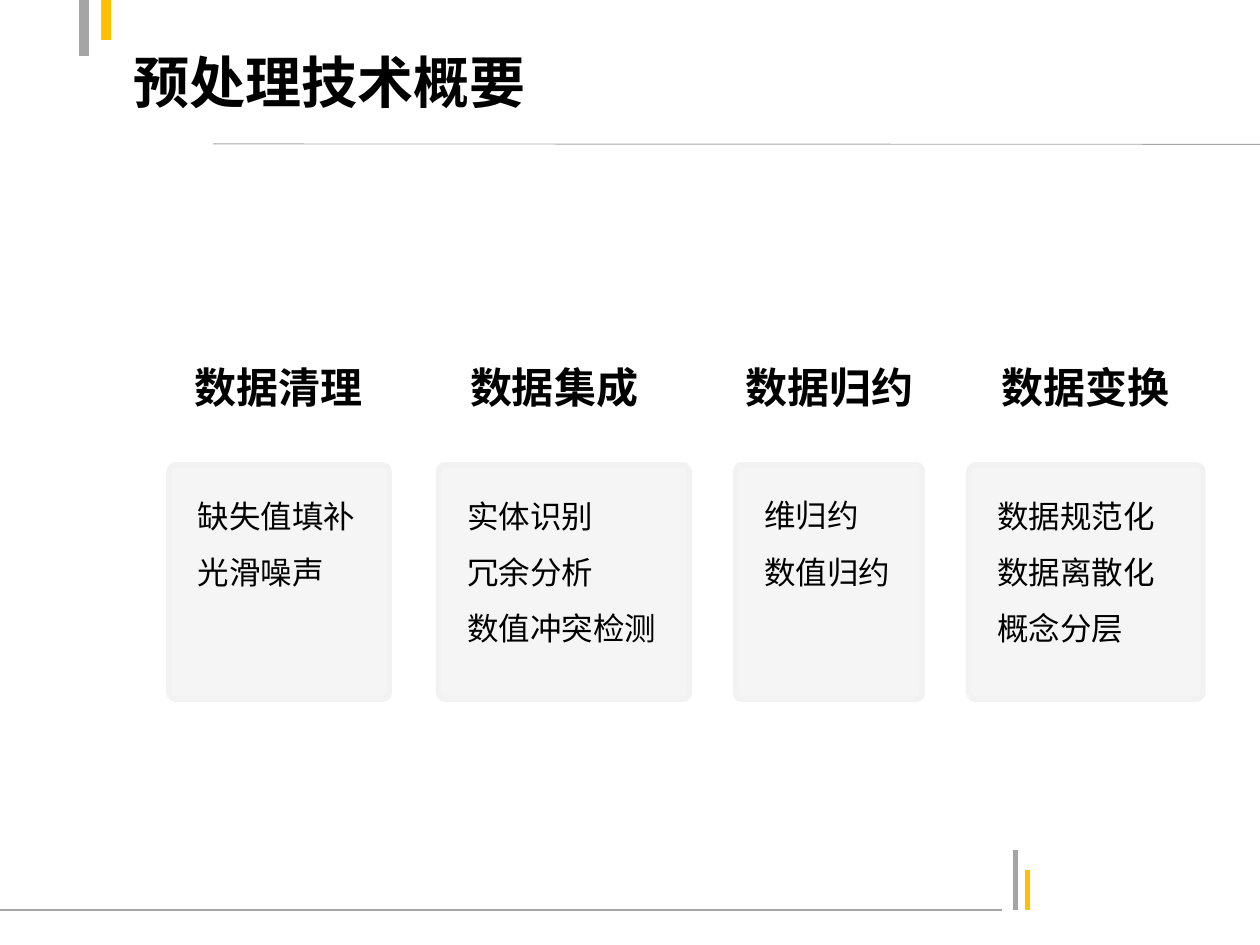
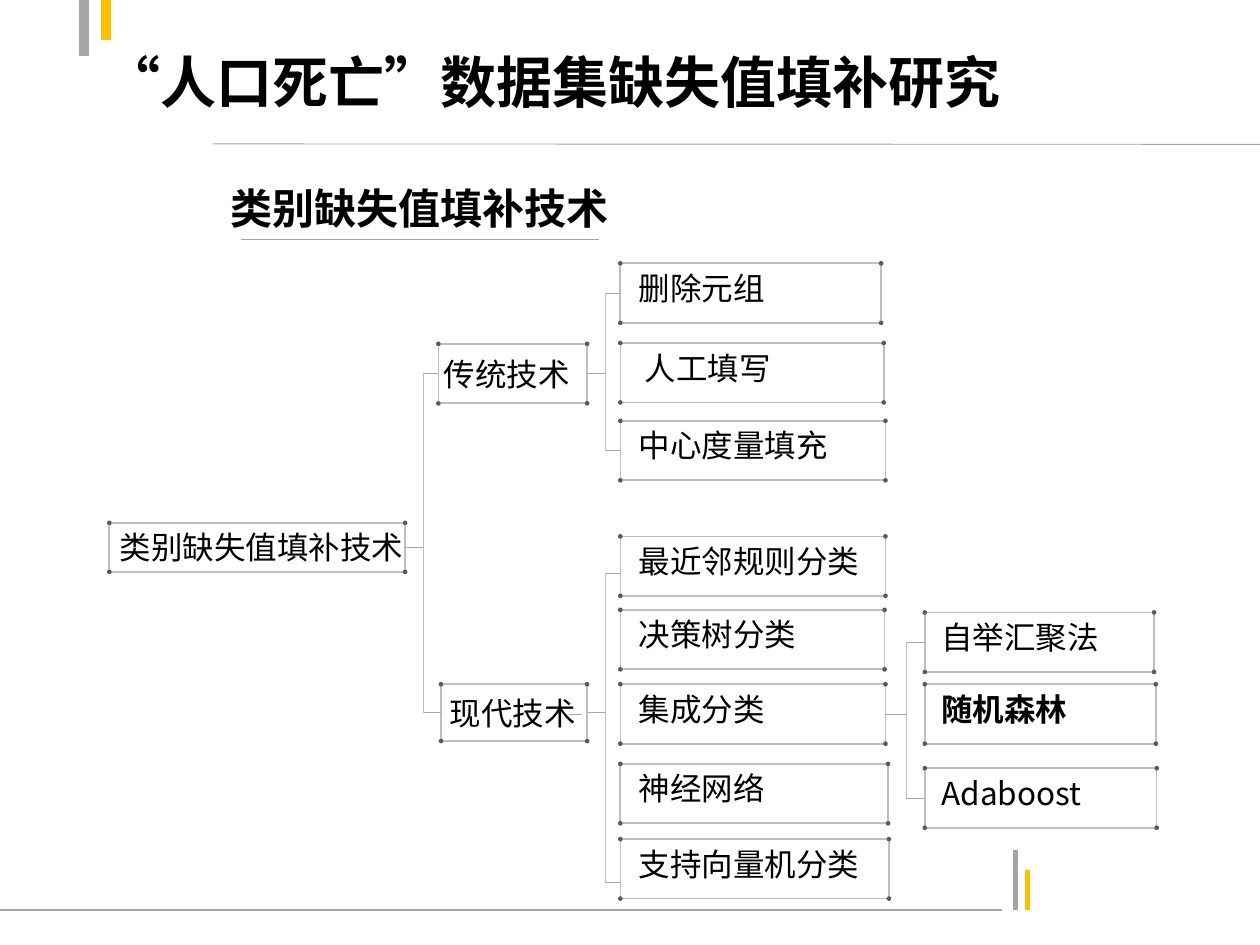
"""Build two slides on data preprocessing and missing-value imputation."""
from pptx import Presentation
from pptx.dml.color import RGBColor
from pptx.enum.shapes import MSO_CONNECTOR, MSO_SHAPE
from pptx.enum.text import MSO_ANCHOR, MSO_AUTO_SIZE, PP_ALIGN
from pptx.oxml.ns import qn
from pptx.util import Pt
from lxml.etree import SubElement

BLACK = RGBColor(0x00, 0x00, 0x00)
GREY = RGBColor(0xA5, 0xA5, 0xA5)
GOLD = RGBColor(0xFF, 0xC0, 0x00)
STUB = RGBColor(0xA6, 0xA6, 0xA6)
TRUNK = RGBColor(0xBF, 0xBF, 0xBF)
DOT = RGBColor(0x59, 0x59, 0x59)
CARD_FILL = RGBColor(0xF6, 0xF5, 0xF5)
CARD_EDGE = RGBColor(0xF2, 0xF2, 0xF2)

CJK = "Noto Sans CJK SC"
TITLE = {"name": CJK, "size": Pt(32), "bold": True}
HEADING = {"name": CJK, "size": Pt(24), "bold": True}
BODY = {"name": CJK, "size": Pt(18), "bold": False}
STRONG = {**BODY, "bold": True}
ROOT = {**BODY, "name": "Roboto"}

FRAME_LINES = [
    (-3, 520, 572.5, 520, GREY, 0.75),
    (580.5, 520, 580.5, 485.5, GREY, 3),
    (587, 520, 587, 497, GOLD, 3),
    (48, 32, 48, -2, GREY, 6),
    (60.5, 0, 60.5, 23, GOLD, 6),
    (121.75, 82.25, 720.5, 82.5, GREY, 0.5),
]

OVERVIEW_TITLE = "预处理技术概要"
CARD_TOP, CARD_HEIGHT = 265.6, 134
HEADING_TOP, HEADING_WIDTH, HEADING_HEIGHT = 199.5, 134, 42.5
TECHNIQUES = [
    ("数据清理", 92.2, 96.5, 126, ["缺失值填补", "光滑噪声"]),
    ("数据集成", 249.6, 250.5, 143.5, ["实体识别", "冗余分析", "数值冲突检测"]),
    ("数据归约", 406.8, 420.5, 106.5, ["维归约", "数值归约"]),
    ("数据变换", 553.5, 553.5, 134, ["数据规范化", "数据离散化", "概念分层"]),
]

STUDY_TITLE = "“人口死亡”数据集缺失值填补研究"
STUDY_HEADING = "类别缺失值填补技术"
STEMS = [
    ("类别缺失值填补技术", 62.5, 298.8, 169, 28, 6, ROOT),
    ("传统技术", 250.5, 196.5, 85, 34, 3, BODY),
    ("现代技术", 252, 391, 83.5, 32.5, 5, BODY),
]
METHOD_LEFT, ENSEMBLE_LEFT, LEAF_HEIGHT = 354.5, 528.5, 34
LEAVES = [
    ("删除元组", METHOD_LEFT, 150.5, 149, 10.5, BODY),
    ("人工填写", METHOD_LEFT, 196, 150.5, 14, BODY),
    ("中心度量填充", METHOD_LEFT, 240.5, 151.5, 10.5, BODY),
    ("最近邻规则分类", METHOD_LEFT, 306.5, 151.5, 10.5, BODY),
    ("决策树分类", METHOD_LEFT, 348.5, 151, 10.5, BODY),
    ("集成分类", METHOD_LEFT, 391, 151.5, 10.5, BODY),
    ("神经网络", METHOD_LEFT, 436.5, 153, 10.5, BODY),
    ("支持向量机分类", METHOD_LEFT, 479.5, 153.5, 10.5, BODY),
    ("自举汇聚法", ENSEMBLE_LEFT, 350, 131, 9.5, BODY),
    ("随机森林", ENSEMBLE_LEFT, 391, 132, 9.5, STRONG),
    ("Adaboost", ENSEMBLE_LEFT, 439, 132.5, 9.5, BODY),
]
BRANCHES = [
    ("类别缺失值填补技术", 242, [("传统技术", 0), ("现代技术", 0)]),
    ("传统技术", 346, [("删除元组", 0), ("中心度量填充", 0)]),
    ("现代技术", 346, [("最近邻规则分类", 4), ("支持向量机分类", 7.5)]),
    ("集成分类", 517.7, [("自举汇聚法", 0), ("Adaboost", 0)]),
]


def write(tf, lines, fmt, align=PP_ALIGN.LEFT, spacing=None,
          anchor=MSO_ANCHOR.MIDDLE, margins=(7.2, 3.6, 7.2, 3.6)):
    frame = {"word_wrap": True, "auto_size": MSO_AUTO_SIZE.NONE,
             "vertical_anchor": anchor}
    sides = ("left", "top", "right", "bottom")
    frame.update({f"margin_{k}": Pt(v) for k, v in zip(sides, margins)})
    for key, value in frame.items():
        setattr(tf, key, value)
    for i, line in enumerate(lines):
        p = tf.add_paragraph() if i else tf.paragraphs[0]
        p.alignment = align
        if spacing:
            p.line_spacing = Pt(spacing)
        r = p.add_run()
        r.text = line
        for key, value in fmt.items():
            setattr(r.font, key, value)
        r.font.color.rgb = BLACK
        SubElement(r._r.get_or_add_rPr(), qn("a:ea")).set("typeface", CJK)


def add_line(s, x1, y1, x2, y2, color, width):
    line = s.shapes.add_connector(
        MSO_CONNECTOR.STRAIGHT, *map(Pt, (x1, y1, x2, y2)))
    line.line.color.rgb = color
    line.line.width = Pt(width)
    SubElement(line._element.spPr, qn("a:effectLst"))
    return line


def add_box(s, kind, x, y, w, h, fill=None, edge=None, width=1):
    sp = s.shapes.add_shape(kind, *map(Pt, (x, y, w, h)))
    sp.shadow.inherit = False
    for part, color in ((sp.fill, fill), (sp.line.fill, edge)):
        if color is None:
            part.background()
        else:
            part.solid()
            part.fore_color.rgb = color
    if edge is not None:
        sp.line.width = Pt(width)
    return sp


def add_heading(s, text, x, y, w, h):
    sp = s.shapes.add_textbox(*map(Pt, (x, y, w, h)))
    write(sp.text_frame, [text], HEADING, PP_ALIGN.CENTER)


def add_slide(prs, title, left):
    s = prs.slides.add_slide(prs.slide_layouts[5])
    for line in FRAME_LINES:
        add_line(s, *line)
    sp = s.shapes.title
    place = {"left": left, "top": 1.2, "width": 648, "height": 90}
    for key, value in place.items():
        setattr(sp, key, Pt(value))
    write(sp.text_frame, [title], TITLE)
    return s


def add_node(s, text, x, y, w, h, indent, fmt, lift=0):
    sp = add_box(s, MSO_SHAPE.RECTANGLE, x, y, w, h, edge=TRUNK)
    write(sp.text_frame, [text], fmt, margins=(indent, 0, 0, lift))
    d = 2.6
    for cx in (x, x + w):
        for cy in (y, y + h):
            add_box(s, MSO_SHAPE.OVAL, cx - d / 2, cy - d / 2, d, d, DOT)
    return sp


def add_branch(s, nodes, parent, trunk, children):
    sp = nodes[parent]
    mid = (sp.top + sp.height / 2) / Pt(1)
    stub = add_line(s, trunk, mid, trunk, mid, STUB, 0.5)
    stub.begin_connect(sp, 3)
    ends = []
    for child, drop in children:
        sp = nodes[child]
        y = (sp.top + sp.height / 2) / Pt(1) + drop
        stub = add_line(s, trunk, y, sp.left / Pt(1), y, STUB, 0.5)
        if not drop:
            stub.end_connect(sp, 1)
        ends.append(y)
    add_line(s, trunk, ends[0], trunk, ends[-1], TRUNK, 0.5)


def build_overview(prs):
    s = add_slide(prs, OVERVIEW_TITLE, 69)
    for name, heading_x, x, w, items in TECHNIQUES:
        add_heading(s, name, heading_x, HEADING_TOP, HEADING_WIDTH, HEADING_HEIGHT)
        card = add_box(s, MSO_SHAPE.ROUNDED_RECTANGLE, x, CARD_TOP, w,
                       CARD_HEIGHT, CARD_FILL, CARD_EDGE, 3)
        card.adjustments[0] = 0.03
        write(card.text_frame, items, BODY, spacing=32.2,
              anchor=MSO_ANCHOR.TOP, margins=(15.3, 6.5, 0, 0))


def build_study(prs):
    s = add_slide(prs, STUDY_TITLE, 52.5)
    add_heading(s, STUDY_HEADING, 105, 96.4, 269.3, 44.6)
    add_line(s, 137.5, 136.8, 342.5, 136.8, GREY, 0.5)
    nodes = {node[0]: add_node(s, *node) for node in STEMS}
    for text, x, y, w, indent, fmt in LEAVES:
        nodes[text] = add_node(s, text, x, y, w, LEAF_HEIGHT, indent, fmt, 6)
    for branch in BRANCHES:
        add_branch(s, nodes, *branch)
    add_line(s, 325.5, 408.2, 332.6, 408.2, STUB, 0.5)


def main():
    prs = Presentation()
    prs.slide_width, prs.slide_height = Pt(720), Pt(540)
    build_overview(prs)
    build_study(prs)
    prs.save("out.pptx")


if __name__ == "__main__":
    main()
